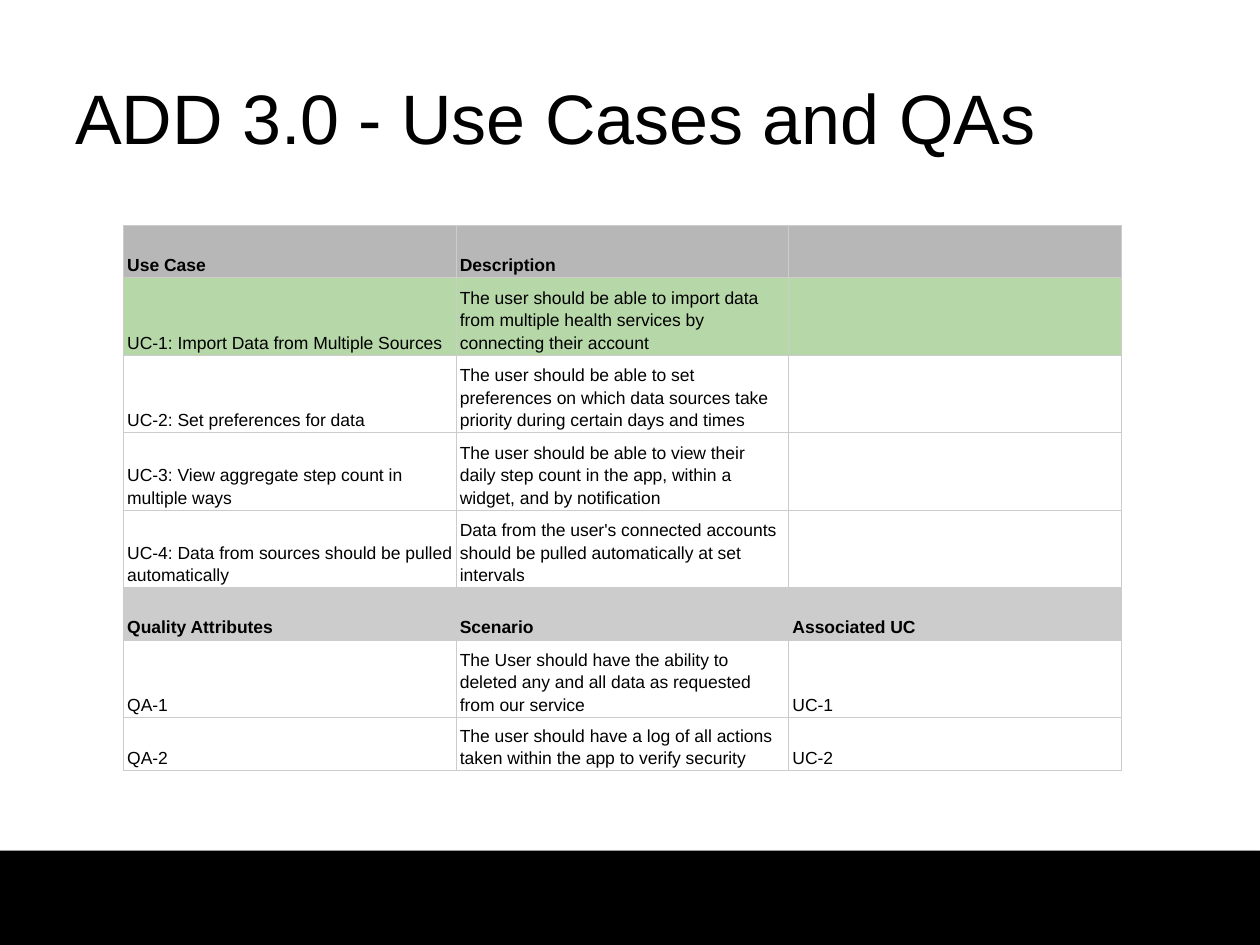
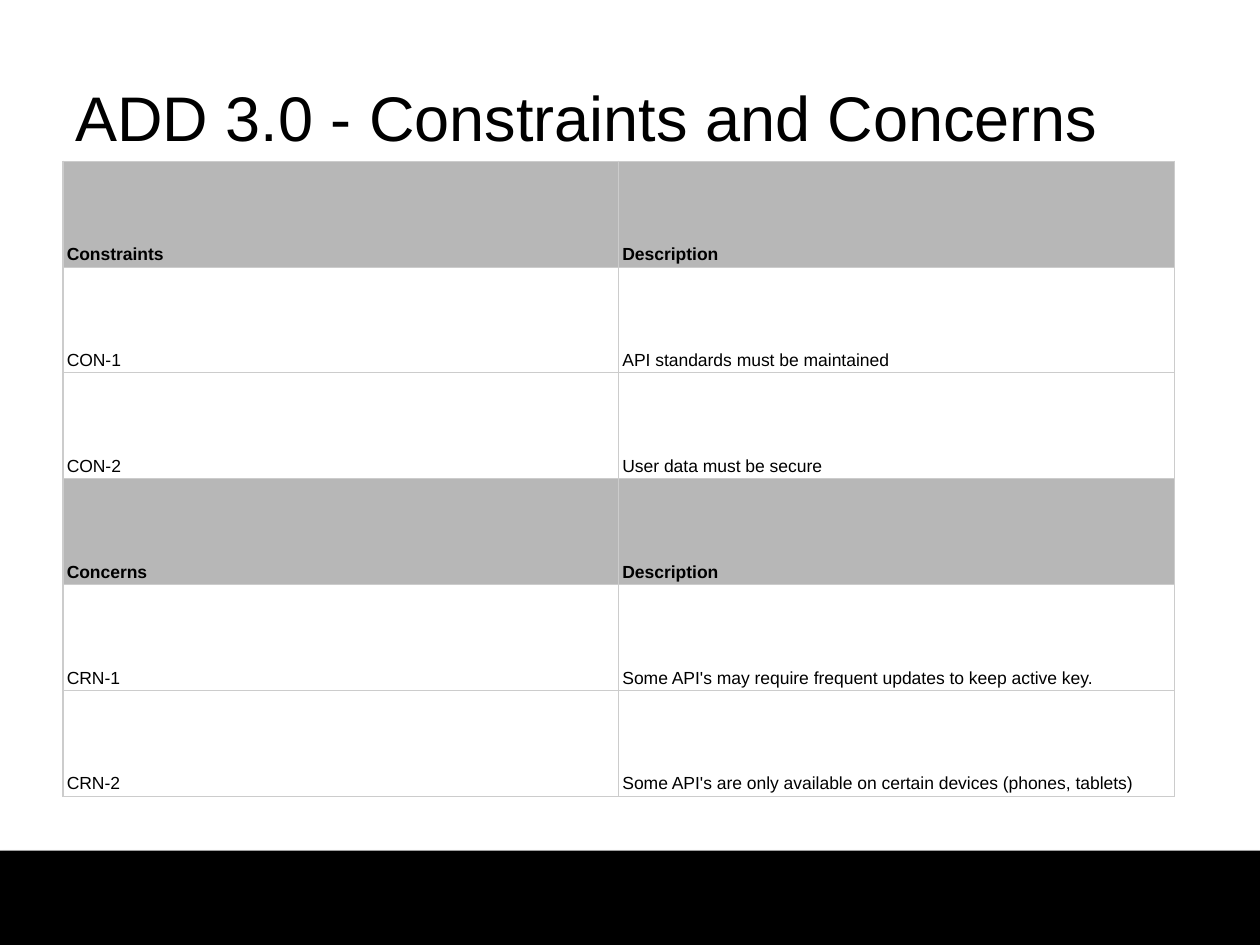
"""Build two ADD 3.0 slides: use cases with quality attributes, constraints with concerns."""
import pptx
import pptx.dml.color
import pptx.enum.shapes
import pptx.enum.text
import pptx.oxml
import pptx.util
from pptx.util import Inches

FONT = "Arial"
BLACK, WHITE = "000000", "FFFFFF"
HEADING, SUBHEADING, HIGHLIGHT, RULE = "B7B7B7", "CCCCCC", "B6D7A8", "CCCCCC"
HEADING_FILLS = (HEADING, SUBHEADING)
NS = 'xmlns:a="http://schemas.openxmlformats.org/drawingml/2006/main"'
BAND_SHADOW = (
    f'<a:effectLst {NS}><a:outerShdw blurRad="40000" dist="23000" dir="5400000" rotWithShape="0">'
    f'<a:srgbClr val="{BLACK}"><a:alpha val="35000"/></a:srgbClr></a:outerShdw></a:effectLst>'
)

SLIDES = [
    {
        "title": "ADD 3.0 - Use Cases and QAs", "title_size": 40,
        "left": 0.98, "top": 1.79, "column_width": 2.64, "row_height": 0.415,
        "rows": [
            (HEADING, "Use Case", "Description", ""),
            (HIGHLIGHT, "UC-1: Import Data from Multiple Sources",
             "The user should be able to import data from multiple health services "
             "by connecting their account", ""),
            (WHITE, "UC-2: Set preferences for data",
             "The user should be able to set preferences on which data sources take "
             "priority during certain days and times", ""),
            (WHITE, "UC-3: View aggregate step count in multiple ways",
             "The user should be able to view their daily step count in the app, "
             "within a widget, and by notification", ""),
            (WHITE, "UC-4: Data from sources should be pulled automatically",
             "Data from the user's connected accounts should be pulled automatically "
             "at set intervals", ""),
            (SUBHEADING, "Quality Attributes", "Scenario", "Associated UC"),
            (WHITE, "QA-1",
             "The User should have the ability to deleted any and all data as requested "
             "from our service", "UC-1"),
            (WHITE, "QA-2",
             "The user should have a log of all actions taken within the app to verify "
             "security", "UC-2"),
        ],
    },
    {
        "title": "ADD 3.0 - Constraints and Concerns", "title_size": 36,
        "left": 0.5, "top": 1.28, "column_width": 4.41, "row_height": 0.84,
        "rows": [
            (HEADING, "Constraints", "Description"),
            (WHITE, "CON-1", "API standards must be maintained"),
            (WHITE, "CON-2", "User data must be secure"),
            (HEADING, "Concerns", "Description"),
            (WHITE, "CRN-1", "Some API's may require frequent updates to keep active key."),
            (WHITE, "CRN-2", "Some API's are only available on certain devices (phones, tablets)"),
        ],
    },
]


def color(value):
    return pptx.dml.color.RGBColor.from_string(value)


def style_text(paragraph, size, bold=False):
    paragraph.font.size = pptx.util.Pt(size)
    for run in paragraph.runs:
        run.font.name = FONT
        run.font.size = pptx.util.Pt(size)
        run.font.bold = bold
        run.font.color.rgb = color(BLACK)


deck = pptx.Presentation()
deck.slide_width, deck.slide_height = Inches(10), Inches(7.5)

for content in SLIDES:
    slide = deck.slides.add_slide(deck.slide_layouts[6])

    footer_band = slide.shapes.add_shape(
        pptx.enum.shapes.MSO_SHAPE.RECTANGLE, 0, Inches(6.75), Inches(10), Inches(0.75))
    footer_band.fill.solid()
    footer_band.fill.fore_color.rgb = color(BLACK)
    footer_band.line.fill.background()
    footer_band._element.spPr.append(pptx.oxml.parse_xml(BAND_SHADOW))

    title = slide.shapes.add_textbox(Inches(0.5), Inches(0.3), Inches(9), Inches(1.25))
    title.text_frame.word_wrap = True
    title.text_frame.vertical_anchor = pptx.enum.text.MSO_ANCHOR.MIDDLE
    title.text_frame.text = content["title"]
    style_text(title.text_frame.paragraphs[0], content["title_size"])

    rows = content["rows"]
    column_count = len(rows[0]) - 1
    requirements = slide.shapes.add_table(
        len(rows), column_count, Inches(content["left"]), Inches(content["top"]),
        Inches(content["column_width"] * column_count),
        Inches(content["row_height"] * len(rows))).table
    requirements.first_row = False
    requirements.horz_banding = False
    for column in requirements.columns:
        column.width = Inches(content["column_width"])

    for row, (fill, *entries) in zip(requirements.rows, rows):
        row.height = Inches(content["row_height"])
        for cell, entry in zip(row.cells, entries):
            cell.margin_left = cell.margin_right = Inches(0.03)
            cell.margin_top = cell.margin_bottom = Inches(0.02)
            cell.vertical_anchor = pptx.enum.text.MSO_ANCHOR.BOTTOM
            for side in "LRTB":
                cell._tc.get_or_add_tcPr().append(pptx.oxml.parse_xml(
                    f'<a:ln{side} {NS} w="9525"><a:solidFill><a:srgbClr val="{RULE}"/>'
                    f'</a:solidFill></a:ln{side}>'))
            cell.fill.solid()
            cell.fill.fore_color.rgb = color(fill)
            cell.text_frame.text = entry
            paragraph = cell.text_frame.paragraphs[0]
            paragraph.line_spacing = 1.15
            style_text(paragraph, 10, fill in HEADING_FILLS)

deck.save("out.pptx")
